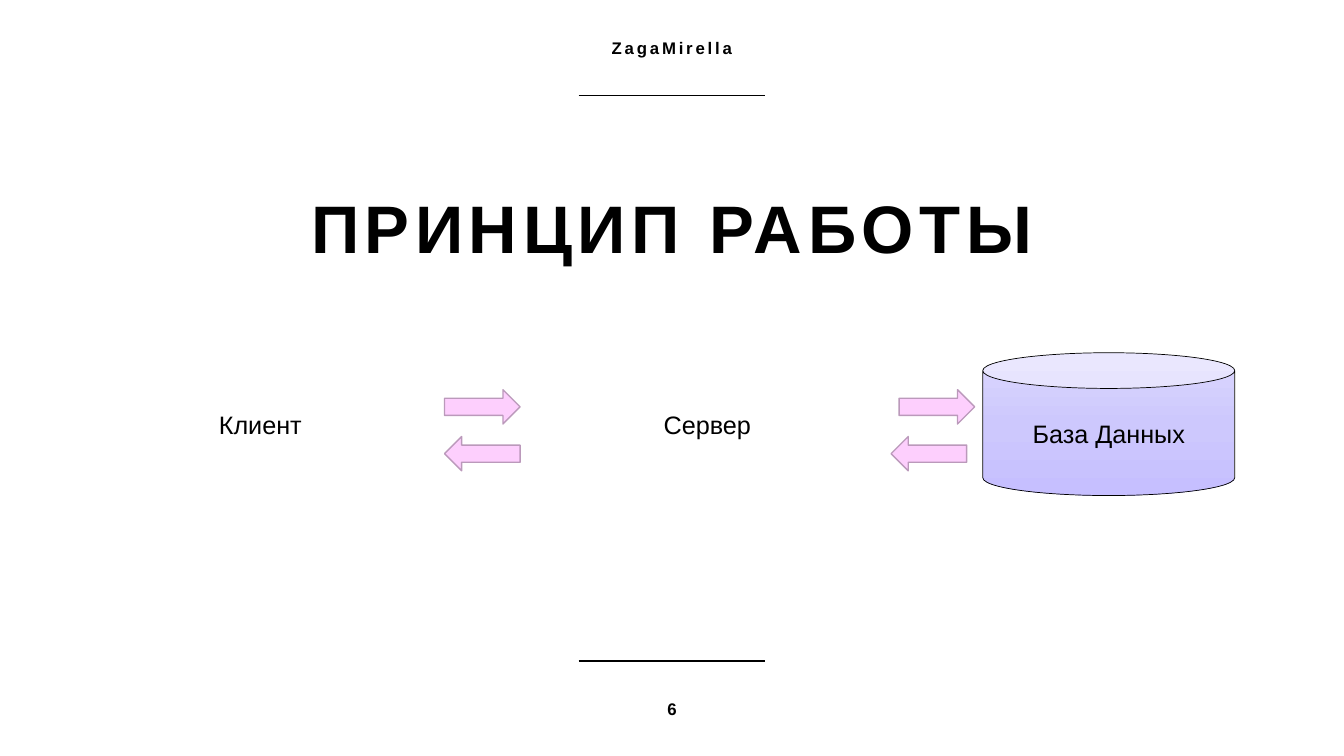
from copy import deepcopy

from lxml.etree import SubElement
from pptx import Presentation
from pptx.dml.color import RGBColor
from pptx.enum.shapes import MSO_CONNECTOR, MSO_SHAPE
from pptx.enum.text import MSO_ANCHOR, PP_ALIGN
from pptx.oxml.ns import qn
from pptx.util import Pt

BLACK = RGBColor(0x00, 0x00, 0x00)
PINK = RGBColor(0xFD, 0xCF, 0xFD)
MAUVE = RGBColor(0xBB, 0x99, 0xBB)
LILACS = [
    RGBColor(0xDC, 0xD8, 0xFE),
    RGBColor(0xCD, 0xC8, 0xFD),
    RGBColor(0xC6, 0xBF, 0xFF),
]
WIDTH, HEIGHT = 960, 540
ARROW_W, ARROW_H = 54, 24.5
RULE_W = 133.2

BODY = {"size": Pt(18), "name": "Arial", "bold": False}
TITLE = {"size": Pt(48), "name": "Arial", "bold": True}
SMALL = {"size": Pt(12), "name": "Arial", "bold": True}


def write(sp, text, font, spacing=0):
    """Write one centred line of text in the middle of a shape."""
    tf = sp.text_frame
    tf.word_wrap = True
    tf.vertical_anchor = MSO_ANCHOR.MIDDLE
    p = tf.paragraphs[0]
    p.alignment = PP_ALIGN.CENTER
    r = p.add_run()
    r.text = text
    for name, value in font.items():
        setattr(r.font, name, value)
    r.font.color.rgb = BLACK
    if spacing:
        r._r.get_or_add_rPr().set("spc", str(spacing * 100))
    return tf


def add_box(slide, kind, left, top, width, height):
    """Add a preset shape without shadow, fill or line."""
    sp = slide.shapes.add_shape(kind, Pt(left), Pt(top), Pt(width), Pt(height))
    sp.shadow.inherit = False
    sp.fill.background()
    sp.line.fill.background()
    return sp


def outline(sp, color, weight):
    """Give a shape a solid outline."""
    sp.line.color.rgb = color
    sp.line.width = Pt(weight)


def add_label(slide, text, font, spacing, left, top, width, height):
    """Add a text box with one centred line."""
    sp = slide.shapes.add_textbox(Pt(left), Pt(top), Pt(width), Pt(height))
    return write(sp, text, font, spacing)


def add_rule(slide, y):
    """Add a short centred horizontal rule."""
    left = (WIDTH - RULE_W) / 2
    line = slide.shapes.add_connector(
        MSO_CONNECTOR.STRAIGHT, Pt(left), Pt(y), Pt(left + RULE_W), Pt(y))
    outline(line, BLACK, 1)
    SubElement(line._element.spPr, qn("a:effectLst"))


def add_title(slide, text, left, top, width, height):
    """Add the slide title."""
    tf = add_label(slide, text, TITLE, 4, left, top, width, height)
    tf.margin_top, tf.margin_bottom = Pt(14.4), 0
    tf.paragraphs[0].line_spacing = 0.9


def add_node(slide, text, left, top, width, height):
    """Add a plain node of the scheme."""
    sp = add_box(slide, MSO_SHAPE.ROUNDED_RECTANGLE, left, top, width, height)
    write(sp, text, BODY)


def add_database(slide, text, left, top, width, height):
    """Add the database cylinder with its vertical gradient."""
    sp = add_box(slide, MSO_SHAPE.CAN, left, top, width, height)
    sp.fill.gradient()
    sp.fill.gradient_angle = 270
    stops = sp._element.spPr.find(qn("a:gradFill")).find(qn("a:gsLst"))
    stops.insert(1, deepcopy(stops[0]))
    for i, (stop, color) in enumerate(zip(sp.fill.gradient_stops, LILACS)):
        stop.position = i / 2
        stop.color.rgb = color
    outline(sp, BLACK, 0.5)
    write(sp, text, BODY)


def add_exchange(slide, request, reply):
    """Add a request arrow and, turned back, a reply arrow."""
    for (left, top), angle in ((request, 0), (reply, 180)):
        sp = add_box(slide, MSO_SHAPE.RIGHT_ARROW, left, top, ARROW_W, ARROW_H)
        sp.rotation = angle
        sp.fill.solid()
        sp.fill.fore_color.rgb = PINK
        outline(sp, MAUVE, 1)


def add_scheme(slide, left, top, height):
    """Add the client, server and database with the arrows between them."""
    add_node(slide, "Клиент", left, top, 240, height)
    add_node(slide, "Сервер", left + 319.2, top, 240, height)
    add_database(slide, "База Данных", left + 636, top, 180, height)
    upper, lower = top + 26.4, top + 59.8
    add_exchange(slide, (left + 251.5, upper), (left + 251.5, lower))
    add_exchange(slide, (left + 576.2, upper), (left + 570.5, lower))


def main():
    """Build and save the presentation."""
    prs = Presentation()
    prs.slide_width, prs.slide_height = Pt(WIDTH), Pt(HEIGHT)
    slide = prs.slides.add_slide(prs.slide_layouts[6])
    for y in (68.4, 472.3):
        add_rule(slide, y)
    add_title(slide, "ПРИНЦИП РАБОТЫ", 48, 96, 864, 124)
    for text, top in (("ZagaMirella", 0.7), ("6", 473)):
        add_label(slide, text, SMALL, 2, 318, top, 324, 67)
    add_scheme(slide, 66, 252, 102)
    prs.save("out.pptx")


if __name__ == "__main__":
    main()
